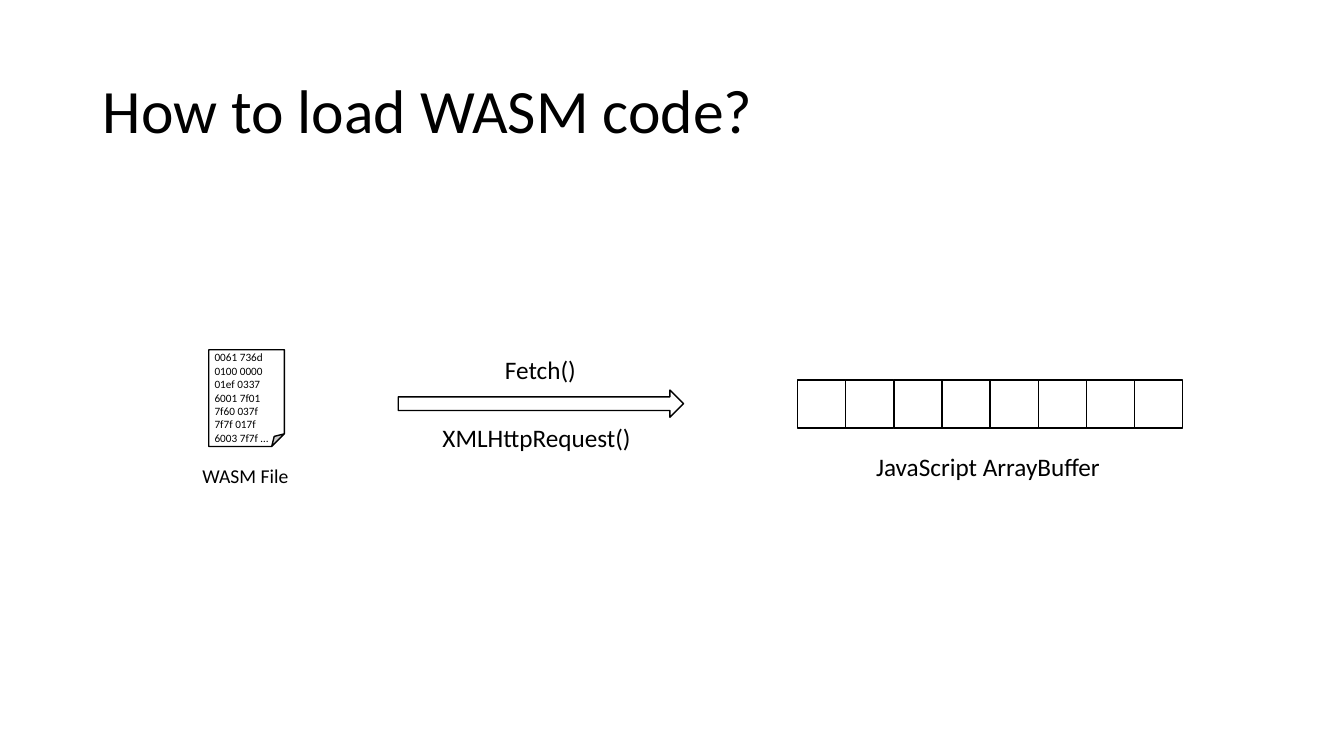
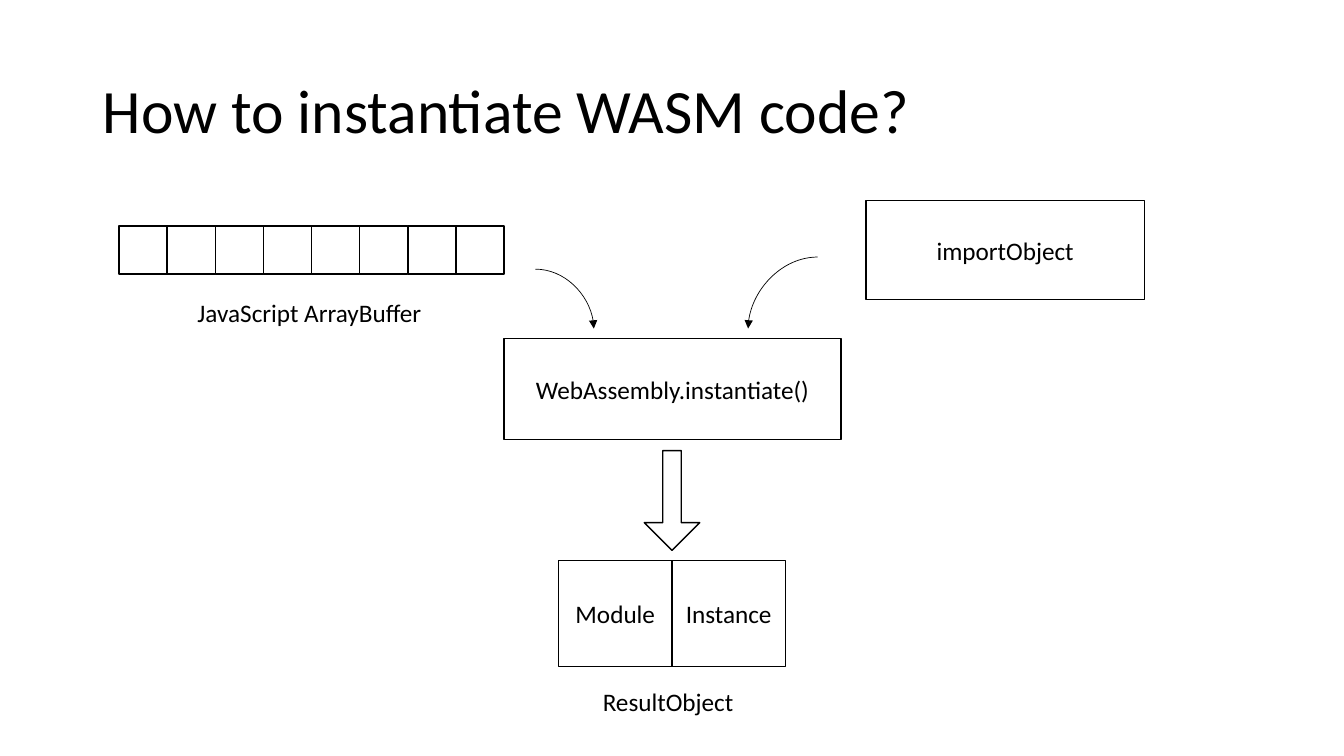
from lxml import etree
from pptx import Presentation
from pptx.dml.color import RGBColor
from pptx.enum.shapes import MSO_CONNECTOR, MSO_SHAPE
from pptx.enum.text import MSO_ANCHOR, MSO_AUTO_SIZE, PP_ALIGN
from pptx.oxml.ns import qn
from pptx.util import Inches, Pt

# Shared style
BLACK = RGBColor(0x00, 0x00, 0x00)
WHITE = RGBColor(0xFF, 0xFF, 0xFF)
FONT = "Calibri"
RECTANGLE, FOLDED = MSO_SHAPE.RECTANGLE, MSO_SHAPE.FOLDED_CORNER
RIGHT_ARROW, DOWN_ARROW = MSO_SHAPE.RIGHT_ARROW, MSO_SHAPE.DOWN_ARROW
CURVE = MSO_CONNECTOR.CURVE
LEFT, CENTER = PP_ALIGN.LEFT, PP_ALIGN.CENTER
MIDDLE = MSO_ANCHOR.MIDDLE
FIT_TEXT, NO_FIT = MSO_AUTO_SIZE.SHAPE_TO_FIT_TEXT, MSO_AUTO_SIZE.NONE

# Shared measures, in inches
SLIDE_WIDTH, SLIDE_HEIGHT = 13.33, 7.5
TITLE_AREA = (0.92, 0.4, 11.5, 1.45)
CELL_COUNT = 8
CELL = 3.82 / CELL_COUNT
LABEL_HEIGHT = 0.4


def write(box, lines, size, align=LEFT, **frame_format):
    frame = box.text_frame
    for name, value in frame_format.items():
        setattr(frame, name, value)
    frame.text = "\n".join(lines)
    for para in frame.paragraphs:
        para.alignment = align
        for span in para.runs:
            span.font.name = FONT
            span.font.size = Pt(size)
            span.font.color.rgb = BLACK


def add_outline(shapes, kind, area, text=""):
    shape = shapes.add_shape(kind, *map(Inches, area))
    shape.shadow.inherit = False
    shape.fill.background()
    shape.line.color.rgb = BLACK
    shape.line.width = Pt(1)
    if text:
        write(shape, [text], 18, CENTER, vertical_anchor=MIDDLE)
    return shape


deck = Presentation()
deck.slide_width = Inches(SLIDE_WIDTH)
deck.slide_height = Inches(SLIDE_HEIGHT)
title_only = deck.slide_layouts[5]

# Titles and the array buffer that both slides show
pages = []
for heading, buffer_left, buffer_top in [
    ("How to load WASM code?", 7.91, 3.77),
    ("How to instantiate WASM code?", 1.18, 2.24),
]:
    page = deck.slides.add_slide(title_only)
    pages.append(page)
    title = page.shapes.title
    title.left, title.top, title.width, title.height = map(Inches, TITLE_AREA)
    write(title, [heading], 44, vertical_anchor=MIDDLE, auto_size=NO_FIT)
    title.text_frame.paragraphs[0].line_spacing = 0.9
    for column in range(CELL_COUNT):
        add_outline(page.shapes, RECTANGLE,
                    (buffer_left + column * CELL, buffer_top, CELL, CELL))
    label = page.shapes.add_textbox(
        *map(Inches, (buffer_left + 0.68, buffer_top + 0.66, 2.45, LABEL_HEIGHT)))
    write(label, ["JavaScript ArrayBuffer"], 18, word_wrap=False, auto_size=FIT_TEXT)
load_page, instantiate_page = pages

# Load: the file and its bytes
wasm_file = load_page.shapes.add_group_shape()
sheet = add_outline(wasm_file.shapes, FOLDED, (2.07, 3.47, 0.75, 0.96))
sheet.fill.solid()
sheet.fill.fore_color.rgb = WHITE
file_bytes = ["0061 736d 0100 0000 01ef 0337 6001 7f01",
              "7f60 037f 7f7f 017f 6003 7f7f …"]
for lines, size, area in [
    (["WASM File"], 14, (1.91, 4.55, 1.07, 0.34)),
    (file_bytes, 8, (2.03, 3.43, 0.76, 1.04)),
]:
    box = wasm_file.shapes.add_textbox(*map(Inches, area))
    write(box, lines, size, word_wrap=True, auto_size=FIT_TEXT)

# Load: the request arrow
add_outline(load_page.shapes, RIGHT_ARROW, (3.95, 3.87, 2.83, 0.27))

# Instantiate: inputs, call and result
half_width, result_left, result_top = 1.125, 5.54, 5.56
for text, area in [
    ("WebAssembly.instantiate()", (5, 3.36, 3.34, 1)),
    ("importObject", (8.59, 1.99, 2.76, 0.98)),
    ("Module", (result_left, result_top, half_width, 1.05)),
    ("Instance", (result_left + half_width, result_top, half_width, 1.05)),
]:
    add_outline(instantiate_page.shapes, RECTANGLE, area, text)
down_arrow = add_outline(instantiate_page.shapes, DOWN_ARROW, (6.39, 4.47, 0.55, 0.99))
down_arrow.adjustments[0] = 0.333

# Instantiate: curved arrows into the call
for ends in [(5.31, 2.67, 5.89, 3.26), (8.11, 2.55, 7.42, 3.26)]:
    curve = instantiate_page.shapes.add_connector(CURVE, *map(Inches, ends))
    curve.line.color.rgb = BLACK
    curve.line.width = Pt(0.5)
    properties = curve._element.spPr
    properties.find(qn("a:prstGeom")).set("prst", "curvedConnector2")
    etree.SubElement(properties.find(qn("a:ln")), qn("a:tailEnd"), type="triangle")
    etree.SubElement(properties, qn("a:effectLst"))

# One-line labels
for page, text, area in [
    (load_page, "Fetch()", (4.91, 3.47, 0.91, LABEL_HEIGHT)),
    (load_page, "XMLHttpRequest() ", (4.29, 4.14, 2.15, LABEL_HEIGHT)),
    (instantiate_page, "ResultObject", (5.88, 6.76, 1.51, LABEL_HEIGHT)),
]:
    label = page.shapes.add_textbox(*map(Inches, area))
    write(label, [text], 18, word_wrap=False, auto_size=FIT_TEXT)

deck.save("out.pptx")
